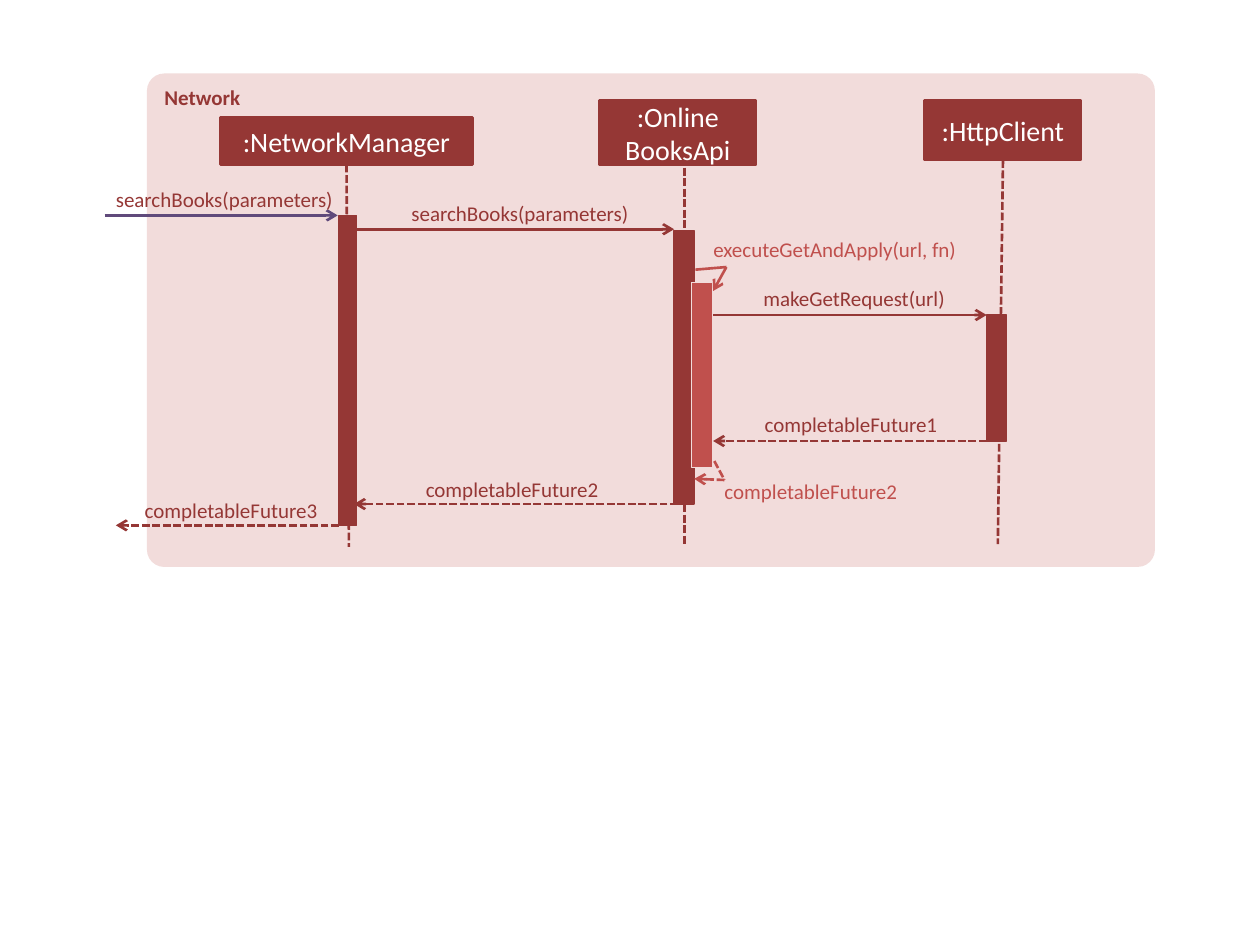
import dataclasses
import itertools

import lxml.etree
import pptx
import pptx.dml.color
import pptx.enum.dml
import pptx.enum.shapes
import pptx.enum.text
import pptx.oxml.ns
import pptx.util

Pt = pptx.util.Pt
Shape = pptx.enum.shapes.MSO_SHAPE
Align = pptx.enum.text.PP_ALIGN
Anchor = pptx.enum.text.MSO_ANCHOR


@dataclasses.dataclass(frozen=True)
class Theme:
    font: str = "Calibri"
    panel: str = "F2DCDB"
    dark: str = "953735"
    light: str = "C0504D"
    incoming: str = "604A7B"
    white: str = "FFFFFF"
    head_size: float = 16
    label_size: float = 12
    stroke: float = 1.5
    thin: float = 0.75


THEME = Theme()

LIFELINES = [
    ([":NetworkManager"], (42, 25, 144, 27), (114.7, 53.8), (115.4, 270.5),
     (109.7, 81.1, 10.1, 177.1), True),
    ([":Online", "BooksApi"], (258.7, 15.6, 89.3, 36.7), (307, 53.8), (307, 269),
     (301.2, 89.8, 11.5, 156.2), False),
    ([":HttpClient"], (444.5, 15.6, 89.3, 33.8), (487, 49.4), (486.2, 269),
     (479.8, 138, 11.5, 72), True),
]
NESTED_CALL = (311.3, 119.3, 12.2, 105.8)

CALLS = [
    ("searchBooks(parameters)", (-17.8, 64.6, 126), [(-24.2, 81.1), (109, 81.1)],
     THEME.dark, THEME.incoming, Align.LEFT),
    ("searchBooks(parameters)", (144.2, 72.5, 131), [(119.8, 89), (301.2, 89)],
     THEME.dark, THEME.dark, Align.RIGHT),
    ("executeGetAndApply(url, fn)", (250.8, 93.4, 211.7),
     [(313.4, 112.1), (331.1, 110.6), (323.5, 124.3)],
     THEME.light, THEME.light, Align.RIGHT),
    ("makeGetRequest(url)", (244.3, 121.4, 211.7), [(323.5, 138), (479.8, 138)],
     THEME.dark, THEME.dark, Align.RIGHT),
]
REPLIES = [
    ("completableFuture1", (240, 193.4, 211.7), [(479.8, 210), (323.5, 210)],
     THEME.dark, THEME.dark, Align.RIGHT),
    ("completableFuture2", (217, 231.6, 211.7),
     [(324.2, 221.5), (330, 232.3), (312.7, 231.6)],
     THEME.light, THEME.light, Align.RIGHT),
    ("completableFuture2", (142.1, 230.2, 115.9), [(303.4, 246), (118.3, 246)],
     THEME.dark, THEME.dark, Align.RIGHT),
    ("completableFuture3", (-19.2, 242.4, 116.6), [(109.7, 258.2), (-17.8, 258.2)],
     THEME.dark, THEME.dark, Align.RIGHT),
]


def rgb(color):
    return pptx.dml.color.RGBColor.from_string(color)


def shift(origin, point):
    return origin[0] + point[0], origin[1] + point[1]


def write(shape, lines, size, color, align, bold=False):
    frame = shape.text_frame
    for index, text in enumerate(lines):
        para = frame.paragraphs[0] if index == 0 else frame.add_paragraph()
        para.alignment = align
        span = para.add_run()
        span.text = text
        span.font.name = THEME.font
        span.font.size = Pt(size)
        span.font.bold = bold
        span.font.color.rgb = rgb(color)


def add_block(page, kind, box, fill, line=None, width=THEME.thin):
    shape = page.shapes.add_shape(kind, *map(Pt, box))
    shape.shadow.inherit = False
    shape.fill.solid()
    shape.fill.fore_color.rgb = rgb(fill)
    if line:
        shape.line.color.rgb = rgb(line)
        shape.line.width = Pt(width)
    else:
        shape.line.fill.background()
    return shape


def add_line(page, start, end, color, dashed=False, arrow=False):
    line = page.shapes.add_connector(
        pptx.enum.shapes.MSO_CONNECTOR.STRAIGHT, *map(Pt, start + end))
    line.line.color.rgb = rgb(color)
    line.line.width = Pt(THEME.stroke)
    if dashed:
        line.line.dash_style = pptx.enum.dml.MSO_LINE.SQUARE_DOT
    properties = line._element.spPr
    if arrow:
        outline = properties.find(pptx.oxml.ns.qn("a:ln"))
        lxml.etree.SubElement(outline, pptx.oxml.ns.qn("a:tailEnd"), type="arrow")
    lxml.etree.SubElement(properties, pptx.oxml.ns.qn("a:effectLst"))
    return line


def add_panel(page, box):
    panel = add_block(page, Shape.ROUNDED_RECTANGLE, box, THEME.panel)
    panel.adjustments[0] = 0.035
    panel.text_frame.vertical_anchor = Anchor.TOP
    write(panel, ["Network"], THEME.label_size, THEME.dark, Align.LEFT, bold=True)


def add_lifeline(page, origin, names, head_box, start, end, activation, joined):
    head = add_block(page, Shape.RECTANGLE, shift(origin, head_box) + head_box[2:],
                     THEME.dark, THEME.dark, THEME.stroke)
    head.text_frame.vertical_anchor = Anchor.MIDDLE
    write(head, names, THEME.head_size, THEME.white, Align.CENTER)
    line = add_line(page, shift(origin, start), shift(origin, end), THEME.dark, dashed=True)
    if joined:
        line.begin_connect(head, 2)
    add_block(page, Shape.RECTANGLE, shift(origin, activation) + activation[2:],
              THEME.dark, THEME.dark)


def add_message(page, origin, dashed, text, place, route, text_color, line_color, align):
    points = [shift(origin, point) for point in route]
    for start, end in itertools.pairwise(points):
        add_line(page, start, end, line_color, dashed, arrow=end == points[-1])
    left, top = shift(origin, place)
    label = page.shapes.add_textbox(Pt(left), Pt(top), Pt(place[2]), Pt(14.4))
    frame = label.text_frame
    frame.word_wrap = True
    frame.auto_size = pptx.enum.text.MSO_AUTO_SIZE.SHAPE_TO_FIT_TEXT
    frame.margin_left = frame.margin_right = frame.margin_top = frame.margin_bottom = 0
    write(label, [text], THEME.label_size, text_color, align)


def add_sequence(page, box):
    origin = box[:2]
    add_panel(page, box)
    for lifeline in LIFELINES:
        add_lifeline(page, origin, *lifeline)
    add_block(page, Shape.RECTANGLE, shift(origin, NESTED_CALL) + NESTED_CALL[2:],
              THEME.light, THEME.panel)
    for dashed, messages in ((False, CALLS), (True, REPLIES)):
        for message in messages:
            add_message(page, origin, dashed, *message)


def main():
    deck = pptx.Presentation()
    deck.slide_width, deck.slide_height = Pt(720), Pt(540)
    page = deck.slides.add_slide(deck.slide_layouts[6])
    add_sequence(page, (84, 42, 576, 282))
    deck.save("out.pptx")


if __name__ == "__main__":
    main()
